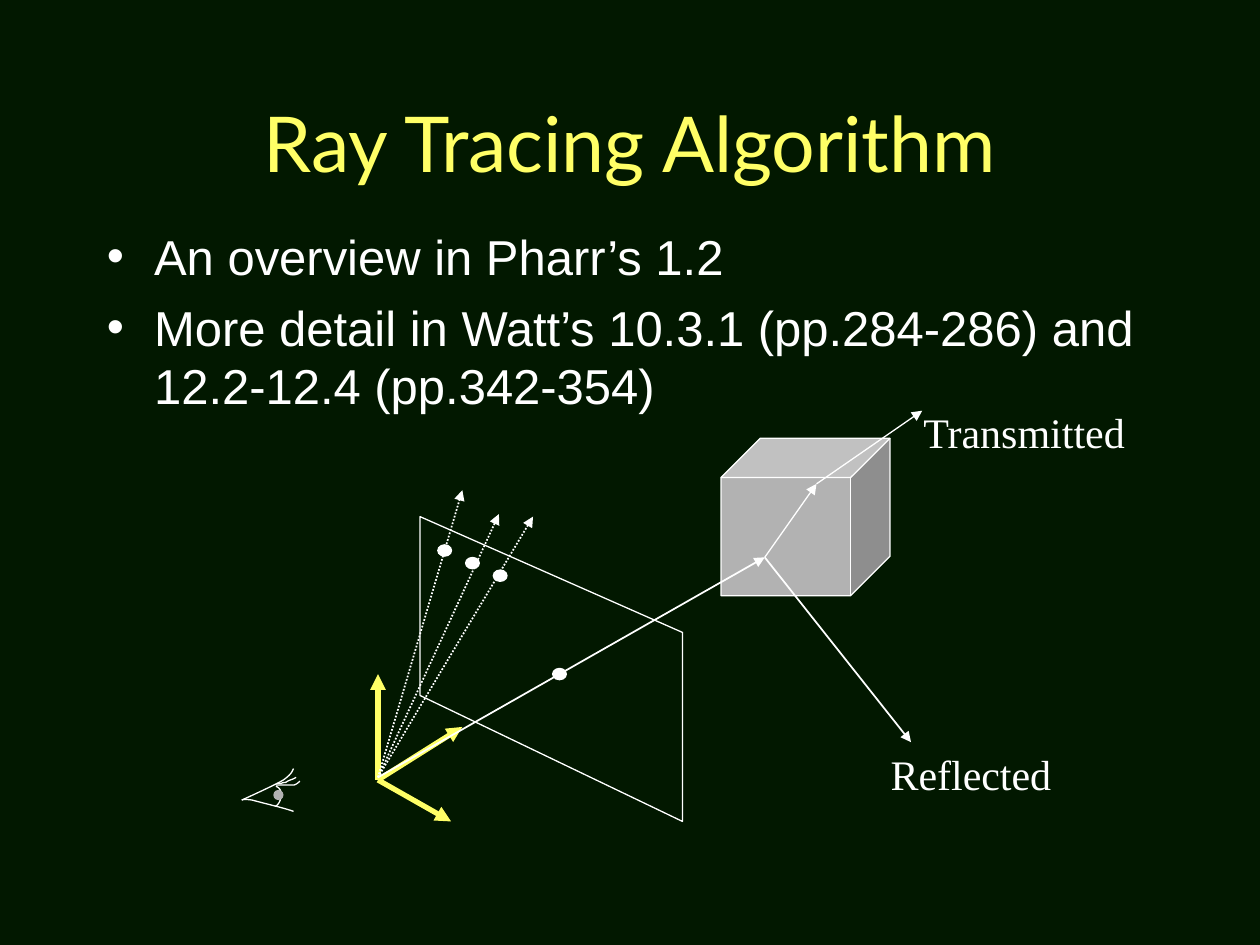
from dataclasses import dataclass

from lxml import etree
from pptx import Presentation
from pptx.dml.color import RGBColor
from pptx.enum import dml, shapes, text
from pptx.oxml import ns
from pptx.util import Pt


@dataclass(frozen=True)
class Theme:
    background: str = "021800"
    accent: str = "FFFF66"
    ink: str = "FFFFFF"
    solid: str = "B2B2B2"
    title_font: str = "Lato"
    body_font: str = "Arial"
    label_font: str = "Times New Roman"
    title_size: float = 44
    body_size: float = 28
    label_size: float = 24
    thin: float = 0.75
    ray: float = 1
    axis: float = 3


THEME = Theme()
TITLE = ("Ray Tracing Algorithm", (54, 48, 612, 66))
BULLETS = [
    "An overview in Pharr’s 1.2",
    "More detail in Watt’s 10.3.1 (pp.284-286) and 12.2-12.4 (pp.342-354)",
]
BULLET_BOX = (54, 126, 612, 354)
LABELS = [
    ("Reflected", (501.8, 424.1, 112, 36)),
    ("Transmitted", (520.6, 229, 134, 36)),
]

CUBE = (412, 250.4, 96.6, 90)
PUPIL = (156.2, 451.4, 5.8, 5.8)
IMAGE_PLANE = [(240, 295.2), (390, 361.4), (390, 469.4), (240, 397.4)]
EYE_CURVES = [
    [(138.2, 457.2), (147.6, 452.9), (157, 448.6), (162, 445.7),
     (167, 442.1), (167, 440.6), (167.8, 439.2)],
    [(138.2, 457.2), (138.2, 457.2), (139, 456.5), (144, 457.2),
     (149, 458.6), (164.2, 462.2), (167.8, 463.7)],
    [(157.7, 449.3), (163.4, 451.4), (159.8, 460.8), (157, 460.8)],
    [(157.7, 448.6), (161.3, 448.6), (164.2, 448.6), (167.8, 448.6),
     (169.2, 448.6), (171.4, 446.4), (171.4, 446.4)],
    [(158.4, 447.8), (162, 447.1), (158.4, 447.8), (160.6, 447.8),
     (161.3, 447.1), (163.4, 447.1), (163.4, 447.1),
     (164.9, 445.7), (167, 445.7), (169.2, 444.2)],
]

AXIS_ORIGIN = (216, 445.7)
AXIS_TIPS = [(264.2, 415.4), (216, 385.2), (257.8, 469.4)]
RAY_ORIGIN = (216, 444.2)
HIT = (437, 318.5)
EXIT = (466.6, 276.5)
RAY_TIPS = [(264.2, 280.1), (285.1, 293.8), (304.6, 295.2), HIT]
REFLECTED_TIP = (520.6, 424.1)
TRANSMITTED_TIP = (527, 234.7)
DOT_SIZE = (8.6, 7.2)
DOT_CENTERS = [(254.1, 314.6), (270, 321.8), (285.8, 329), (319.7, 385.2)]


def color(value):
    return RGBColor.from_string(value)


def points(values):
    return [Pt(value) for value in values]


def style_font(font, name, size, value):
    font.name, font.size = name, Pt(size)
    font.color.rgb = color(value)


def style_shape(shape, fill=None, line=None):
    shape.shadow.inherit = False
    if fill:
        shape.fill.solid()
        shape.fill.fore_color.rgb = color(fill)
    else:
        shape.fill.background()
    if line:
        shape.line.color.rgb = color(line)
        shape.line.width = Pt(THEME.thin)
    else:
        shape.line.fill.background()


def add_solid(slide, kind, box, fill, line=None):
    shape = slide.shapes.add_shape(kind, *points(box))
    style_shape(shape, fill, line)


def add_outline(slide, vertices, close=False):
    start, *rest = [points(vertex) for vertex in vertices]
    builder = slide.shapes.build_freeform(*start)
    builder.add_line_segments(rest, close=close)
    style_shape(builder.convert_to_shape(), line=THEME.ink)


def sample_curve(controls, steps=10):
    vertices = [controls[0]]
    for index in range(0, len(controls) - 1, 3):
        segment = controls[index:index + 4]
        for step in range(1, steps + 1):
            t = step / steps
            weights = ((1 - t) ** 3, 3 * t * (1 - t) ** 2, 3 * t * t * (1 - t), t ** 3)
            vertices.append(tuple(
                sum(weight * point[axis] for weight, point in zip(weights, segment))
                for axis in (0, 1)))
    return vertices


def add_arrow(slide, start, end, value, width, dotted=False):
    arrow = slide.shapes.add_connector(
        shapes.MSO_CONNECTOR.STRAIGHT, *points(start + end))
    arrow.line.color.rgb = color(value)
    arrow.line.width = Pt(width)
    if dotted:
        arrow.line.dash_style = dml.MSO_LINE.ROUND_DOT
    etree.SubElement(arrow.line._get_or_add_ln(), ns.qn("a:tailEnd"), type="triangle")
    etree.SubElement(arrow._element.spPr, ns.qn("a:effectLst"))


def add_text(slide, content, box, font_style, wrap=True):
    shape = slide.shapes.add_textbox(*points(box))
    frame = shape.text_frame
    frame.word_wrap = wrap
    frame.text = content
    for paragraph in frame.paragraphs:
        for run in paragraph.runs:
            style_font(run.font, *font_style)
    return frame


def add_bullet(paragraph):
    properties = paragraph._p.get_or_add_pPr()
    properties.set("marL", str(Pt(27)))
    properties.set("indent", str(Pt(-27)))
    bullet_color = etree.SubElement(properties, ns.qn("a:buClr"))
    etree.SubElement(bullet_color, ns.qn("a:srgbClr"), val=THEME.ink)
    etree.SubElement(properties, ns.qn("a:buFont"), typeface=THEME.body_font)
    etree.SubElement(properties, ns.qn("a:buChar"), char="•")


def add_texts(slide):
    frame = add_text(slide, *TITLE, (THEME.title_font, THEME.title_size, THEME.accent))
    frame.vertical_anchor = text.MSO_ANCHOR.MIDDLE
    frame.paragraphs[0].alignment = text.PP_ALIGN.CENTER
    frame = add_text(slide, "\n".join(BULLETS), BULLET_BOX,
                     (THEME.body_font, THEME.body_size, THEME.ink))
    for index, paragraph in enumerate(frame.paragraphs):
        add_bullet(paragraph)
        paragraph.line_spacing = Pt(33.5)
        paragraph.space_before = Pt(7 if index else 0)


def add_diagram(slide):
    add_solid(slide, shapes.MSO_SHAPE.CUBE, CUBE, THEME.solid, THEME.ink)
    for tip in AXIS_TIPS:
        add_arrow(slide, AXIS_ORIGIN, tip, THEME.accent, THEME.axis)
    for controls in EYE_CURVES:
        add_outline(slide, sample_curve(controls))
    add_solid(slide, shapes.MSO_SHAPE.OVAL, PUPIL, THEME.solid)
    add_outline(slide, IMAGE_PLANE, close=True)
    width, height = DOT_SIZE
    for tip, (x, y) in zip(RAY_TIPS, DOT_CENTERS):
        add_arrow(slide, RAY_ORIGIN, tip, THEME.ink, THEME.ray, dotted=tip != HIT)
        add_solid(slide, shapes.MSO_SHAPE.OVAL,
                  (x - width / 2, y - height / 2, width, height), THEME.ink)
    add_arrow(slide, HIT, REFLECTED_TIP, THEME.ink, THEME.ray)
    add_arrow(slide, HIT, EXIT, THEME.ink, THEME.thin)
    add_arrow(slide, EXIT, TRANSMITTED_TIP, THEME.ink, THEME.thin)
    for content, box in LABELS:
        add_text(slide, content, box,
                 (THEME.label_font, THEME.label_size, THEME.ink))


def main():
    presentation = Presentation()
    presentation.slide_width, presentation.slide_height = points((720, 540))
    slide = presentation.slides.add_slide(presentation.slide_layouts[6])
    slide.background.fill.solid()
    slide.background.fill.fore_color.rgb = color(THEME.background)
    add_texts(slide)
    add_diagram(slide)
    presentation.save("out.pptx")


if __name__ == "__main__":
    main()
